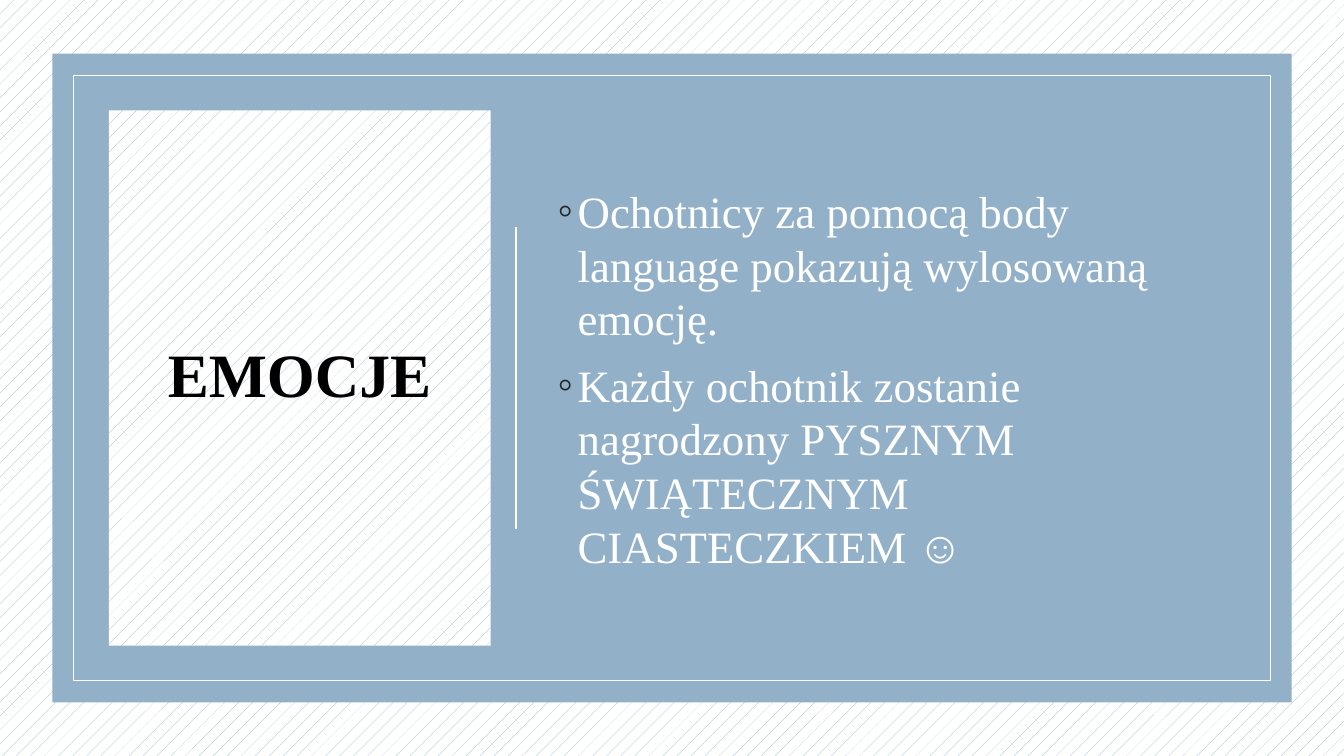
from dataclasses import dataclass

from lxml.etree import SubElement
from pptx import Presentation
from pptx.dml.color import RGBColor as Color
from pptx.enum.dml import MSO_PATTERN as Pattern
from pptx.enum.shapes import MSO_CONNECTOR as Connector, MSO_SHAPE as Shape
from pptx.enum.text import MSO_ANCHOR as Anchor, PP_ALIGN as Align
from pptx.oxml.ns import qn
from pptx.util import Inches, Pt


@dataclass(frozen=True)
class Theme:
    """Colours, font, type sizes and line widths of the slide."""
    blue: Color = Color.from_string("92B0C8")
    white: Color = Color.from_string("FFFFFF")
    black: Color = Color.from_string("000000")
    bullet: Color = Color.from_string("262626")
    font: str = "Times New Roman"
    title: int = 44
    body: int = 32
    hairline: float = 0.5
    rule: float = 1.25


TITLE = "EMOCJE"
INSTRUCTIONS = (
    "Ochotnicy za pomocą body language pokazują wylosowaną emocję.",
    "Każdy ochotnik zostanie nagrodzony PYSZNYM ŚWIĄTECZNYM CIASTECZKIEM ☺",
)


def add_bullet(para, symbol, color, font, indent=Inches(0.2)):
    """Give a paragraph a hanging bullet."""
    props = para._p.get_or_add_pPr()
    props.set("marL", str(indent))
    props.set("indent", str(-indent))
    tint = SubElement(props, qn("a:buClr"))
    SubElement(tint, qn("a:srgbClr")).set("val", str(color))
    SubElement(props, qn("a:buFont")).set("typeface", font)
    SubElement(props, qn("a:buChar")).set("char", symbol)


def write(box, texts, *, theme, size, color, bold=False, align=Align.LEFT,
          spacing=1.0, gap=0, bullet=None):
    """Write each text as a paragraph of the box in one format."""
    frame = box.text_frame
    frame.word_wrap = True
    frame.vertical_anchor = Anchor.MIDDLE
    for index, text in enumerate(texts):
        para = frame.add_paragraph() if index else frame.paragraphs[0]
        para.alignment = align
        para.line_spacing = spacing
        if index:
            para.space_before = Pt(gap)
        if bullet:
            add_bullet(para, bullet, theme.bullet, theme.font)
        span = para.add_run()
        span.text = text
        span.font.name = theme.font
        span.font.size = Pt(size)
        span.font.bold = bold
        span.font.color.rgb = color


class Composer:
    """Draws on one slide, with lengths in percent of its size."""

    def __init__(self, deck, theme):
        """Add a blank page to the deck."""
        self.theme = theme
        self.width, self.height = deck.slide_width, deck.slide_height
        self.page = deck.slides.add_slide(deck.slide_layouts[6])

    def place(self, *shares):
        """Turn alternating x and y percentages into slide lengths."""
        sides = (self.width, self.height) * 2
        return [int(side * share / 100) for side, share in zip(sides, shares)]

    def rectangle(self, area, fill=None, hatched=False, line=None):
        """Draw a plain, hatched or outlined rectangle."""
        box = self.page.shapes.add_shape(Shape.RECTANGLE, *self.place(*area))
        box.shadow.inherit = False
        if hatched:
            box.fill.patterned()
            box.fill.pattern = Pattern.PERCENT_5
            box.fill.fore_color.rgb = self.theme.blue
            box.fill.back_color.rgb = self.theme.white
        elif fill is not None:
            box.fill.solid()
            box.fill.fore_color.rgb = fill
        else:
            box.fill.background()
        if line is not None:
            box.line.color.rgb = line
            box.line.width = Pt(self.theme.hairline)
        else:
            box.line.fill.background()
        return box

    def centred(self, margin_x, margin_y, **style):
        """Draw a rectangle with equal margins on opposite sides."""
        area = (margin_x, margin_y, 100 - 2 * margin_x, 100 - 2 * margin_y)
        return self.rectangle(area, **style)

    def divider(self, left, margin_y):
        """Draw a vertical rule with equal margins above and below."""
        ends = self.place(left, margin_y, left, 100 - margin_y)
        rule = self.page.shapes.add_connector(Connector.STRAIGHT, *ends)
        rule.line.color.rgb = self.theme.white
        rule.line.width = Pt(self.theme.rule)
        SubElement(rule._element.spPr, qn("a:effectLst"))

    def card(self, area, text, **style):
        """Draw a hatched rectangle with a text in it."""
        box = self.rectangle(area, hatched=True)
        write(box, [text], theme=self.theme, align=Align.CENTER, **style)

    def bullets(self, area, texts, **style):
        """Add a text box with a bulleted list."""
        box = self.page.shapes.add_textbox(*self.place(*area))
        write(box, texts, theme=self.theme, bullet="◦", **style)


def main():
    """Build and save the slide."""
    deck = Presentation()
    deck.slide_width, deck.slide_height = Inches(13.33), Inches(7.5)
    theme = Theme()
    slide = Composer(deck, theme)
    content_top = 14.6
    content_height = 100 - 2 * content_top

    slide.centred(0, 0, hatched=True)
    slide.centred(3.9, 7.1, fill=theme.blue)
    slide.card((8.1, content_top, 28.4, content_height), TITLE,
               size=theme.title, color=theme.black, bold=True, spacing=0.9)
    slide.divider(38.41, 30)
    slide.bullets((40.74, content_top, 50.94, content_height), INSTRUCTIONS,
                  size=theme.body, color=theme.white, gap=9)
    slide.centred(5.48, 10, line=theme.white)
    deck.save("out.pptx")


if __name__ == "__main__":
    main()
